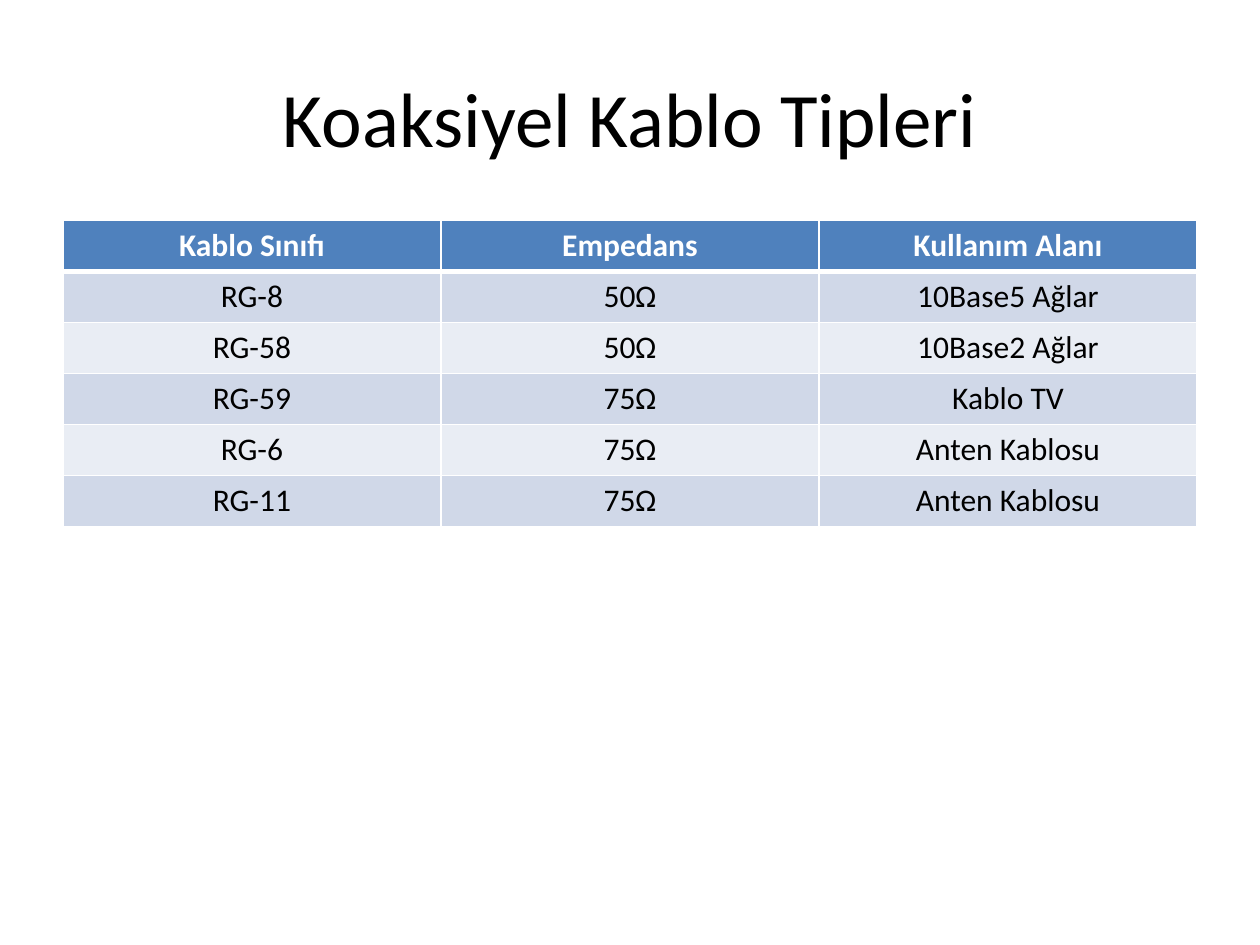
from dataclasses import dataclass

from lxml.etree import SubElement
from pptx import Presentation
from pptx.dml.color import RGBColor
from pptx.enum.text import MSO_ANCHOR, PP_ALIGN
from pptx.oxml.ns import qn
from pptx.util import Inches, Pt


@dataclass(frozen=True)
class Theme:
    font: str = "Calibri"
    title_size: int = 44
    table_size: int = 18
    text: str = "000000"
    white: str = "FFFFFF"
    header: str = "4F81BD"
    bands: tuple = ("D0D8E8", "E9EDF4")
    line: int = 1
    header_line: int = 3


THEME = Theme()

CABLES = [
    ("Kablo Sınıfı", "Empedans", "Kullanım Alanı"),
    ("RG-8", "50Ω", "10Base5 Ağlar"),
    ("RG-58", "50Ω", "10Base2 Ağlar"),
    ("RG-59", "75Ω", "Kablo TV"),
    ("RG-6", "75Ω", "Anten Kablosu"),
    ("RG-11", "75Ω", "Anten Kablosu"),
]


def add_text(tf, text, size, color, bold=False):
    p = tf.paragraphs[0]
    p.alignment = PP_ALIGN.CENTER
    r = p.add_run()
    r.text = text
    r.font.name = THEME.font
    r.font.size = Pt(size)
    r.font.bold = bold
    r.font.color.rgb = RGBColor.from_string(color)


def add_title(s, text):
    sp = s.shapes.add_textbox(Inches(0.5), Inches(0.3), Inches(9), Inches(1.25))
    tf = sp.text_frame
    tf.word_wrap = True
    tf.vertical_anchor = MSO_ANCHOR.MIDDLE
    add_text(tf, text, THEME.title_size, THEME.text)


def set_borders(cell, top, bottom):
    tc_pr = cell._tc.get_or_add_tcPr()
    widths = {"lnL": THEME.line, "lnR": THEME.line, "lnT": top, "lnB": bottom}
    for side, width in widths.items():
        ln = SubElement(tc_pr, qn(f"a:{side}"), w=str(Pt(width)))
        fill = SubElement(ln, qn("a:solidFill"))
        SubElement(fill, qn("a:srgbClr"), val=THEME.white)


def style_cell(cell, text, row):
    is_header = row == 0
    # Borders come before the fill in the cell properties
    set_borders(
        cell,
        top=THEME.header_line if row == 1 else THEME.line,
        bottom=THEME.header_line if is_header else THEME.line,
    )
    color = THEME.header if is_header else THEME.bands[(row - 1) % 2]
    cell.fill.solid()
    cell.fill.fore_color.rgb = RGBColor.from_string(color)
    add_text(cell.text_frame, text, THEME.table_size,
             THEME.white if is_header else THEME.text, is_header)


def add_cable_table(s, rows):
    sp = s.shapes.add_table(len(rows), len(rows[0]), Inches(0.5), Inches(1.75),
                            Inches(9), Inches(2.43))
    for i, row in enumerate(rows):
        for j, text in enumerate(row):
            style_cell(sp.table.cell(i, j), text, i)


def main():
    prs = Presentation()
    prs.slide_width, prs.slide_height = Inches(10), Inches(7.5)
    s = prs.slides.add_slide(prs.slide_layouts[6])

    # Heading
    add_title(s, "Koaksiyel Kablo Tipleri")

    # Cable classes with impedance and use
    add_cable_table(s, CABLES)

    prs.save("out.pptx")


if __name__ == "__main__":
    main()
